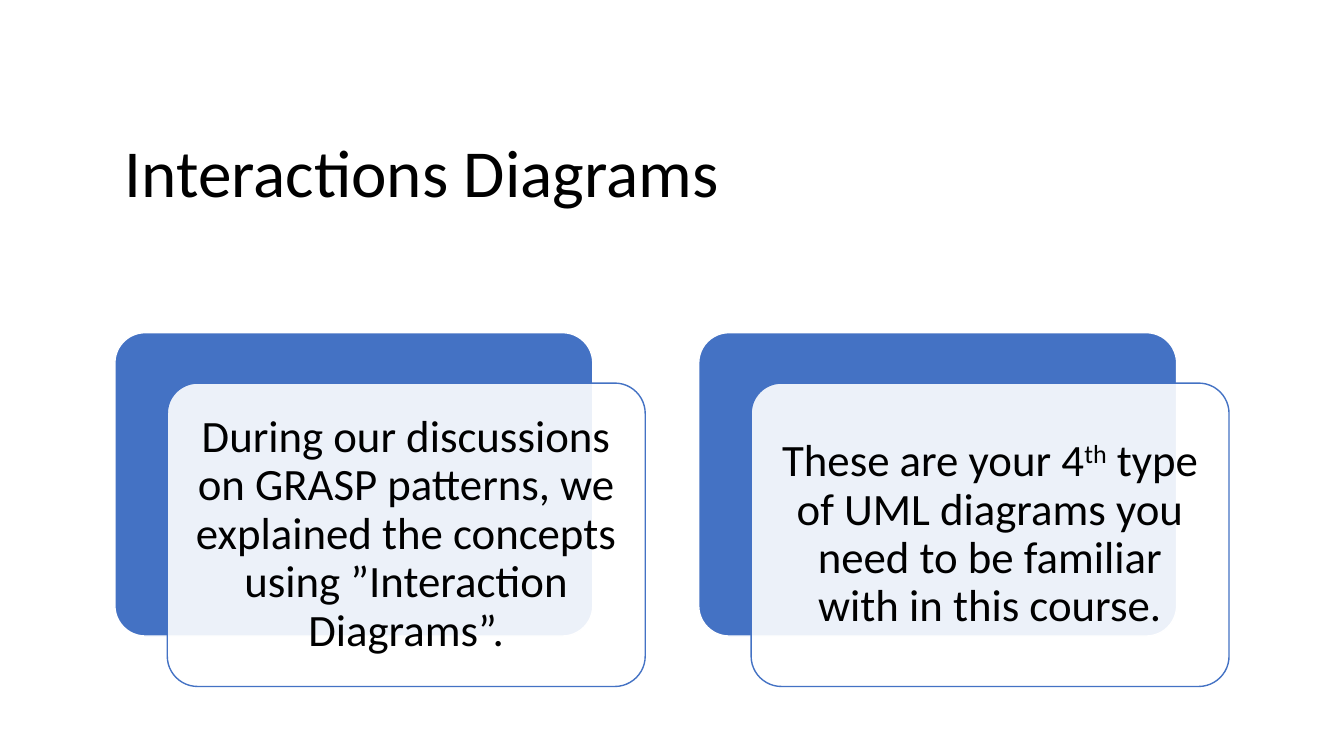
from dataclasses import dataclass

from lxml.etree import SubElement
from pptx import Presentation
from pptx.dml.color import RGBColor
from pptx.enum.shapes import MSO_SHAPE as Shp
from pptx.enum.text import MSO_ANCHOR as Anchor, PP_ALIGN as Align
from pptx.oxml.ns import qn
from pptx.util import Inches, Pt

SLIDE_W, SLIDE_H = Inches(13.33), Inches(7.5)
BLUE, WHITE, BLACK = "4472C4", "FFFFFF", "000000"
LEFT, CARD_TOP = 8.55, 44
CARD_STEP = 43.44
CARD_W, CARD_H = 35.56, 40.13
SHIFT_X, SHIFT_Y = 3.9, 6.67
CARD_INSET = Inches(0.13)


@dataclass(frozen=True)
class Run:
    text: str
    baseline: int = 0


@dataclass(frozen=True)
class Box:
    x: float
    y: float
    w: float
    h: float

    def emu(self) -> tuple[int, int, int, int]:
        return (round(SLIDE_W * self.x / 100), round(SLIDE_H * self.y / 100),
                round(SLIDE_W * self.w / 100), round(SLIDE_H * self.h / 100))


CARDS: list[list[Run]] = [
    [Run("During our discussions on GRASP patterns, we explained the concepts "
         "using ”Interaction Diagrams”.")],
    [Run("These are your 4"), Run("th", 30000),
     Run(" type of UML diagrams you need to be familiar with in this course.")],
]


def rgb(value: str) -> RGBColor:
    return RGBColor.from_string(value)


def apply(target, values: dict) -> None:
    for name, value in values.items():
        setattr(target, name, value)


def write(sp, runs: list[Run], size: int, align: Align) -> None:
    tf = sp.text_frame
    apply(tf, {"word_wrap": True, "vertical_anchor": Anchor.MIDDLE})
    p = tf.paragraphs[0]
    apply(p, {"alignment": align, "line_spacing": 0.9})
    for item in runs:
        r = p.add_run()
        r.text = item.text
        apply(r.font, {"name": "Calibri", "size": Pt(size)})
        r.font.color.rgb = rgb(BLACK)
        if item.baseline:
            r.font._element.set("baseline", str(item.baseline))


def add_panel(slide, box: Box, fill: str, line: str, opacity: int = 100):
    sp = slide.shapes.add_shape(Shp.ROUNDED_RECTANGLE, *box.emu())
    sp.adjustments[0] = 0.1
    sp.shadow.inherit = False
    sp.fill.solid()
    sp.fill.fore_color.rgb = rgb(fill)
    sp.line.color.rgb = rgb(line)
    sp.line.width = Pt(1)
    if opacity < 100:
        color = sp._element.spPr.find(qn("a:solidFill")).find(qn("a:srgbClr"))
        SubElement(color, qn("a:alpha")).set("val", str(opacity * 1000))
    return sp


def add_card(slide, x: float, runs: list[Run]) -> None:
    add_panel(slide, Box(x, CARD_TOP, CARD_W, CARD_H), BLUE, WHITE)
    front = Box(x + SHIFT_X, CARD_TOP + SHIFT_Y, CARD_W, CARD_H)
    sp = add_panel(slide, front, WHITE, BLUE, 90)
    sides = ("left", "top", "right", "bottom")
    apply(sp.text_frame, {f"margin_{side}": CARD_INSET for side in sides})
    write(sp, runs, 32, Align.CENTER)


def main() -> None:
    prs = Presentation()
    apply(prs, {"slide_width": SLIDE_W, "slide_height": SLIDE_H})
    slide = prs.slides.add_slide(prs.slide_layouts[6])
    title = slide.shapes.add_textbox(*Box(LEFT, 11.87, 83.5, 22.67).emu())
    write(title, [Run("Interactions Diagrams")], 48, Align.LEFT)
    for i, runs in enumerate(CARDS):
        add_card(slide, LEFT + i * CARD_STEP, runs)
    prs.save("out.pptx")


if __name__ == "__main__":
    main()
